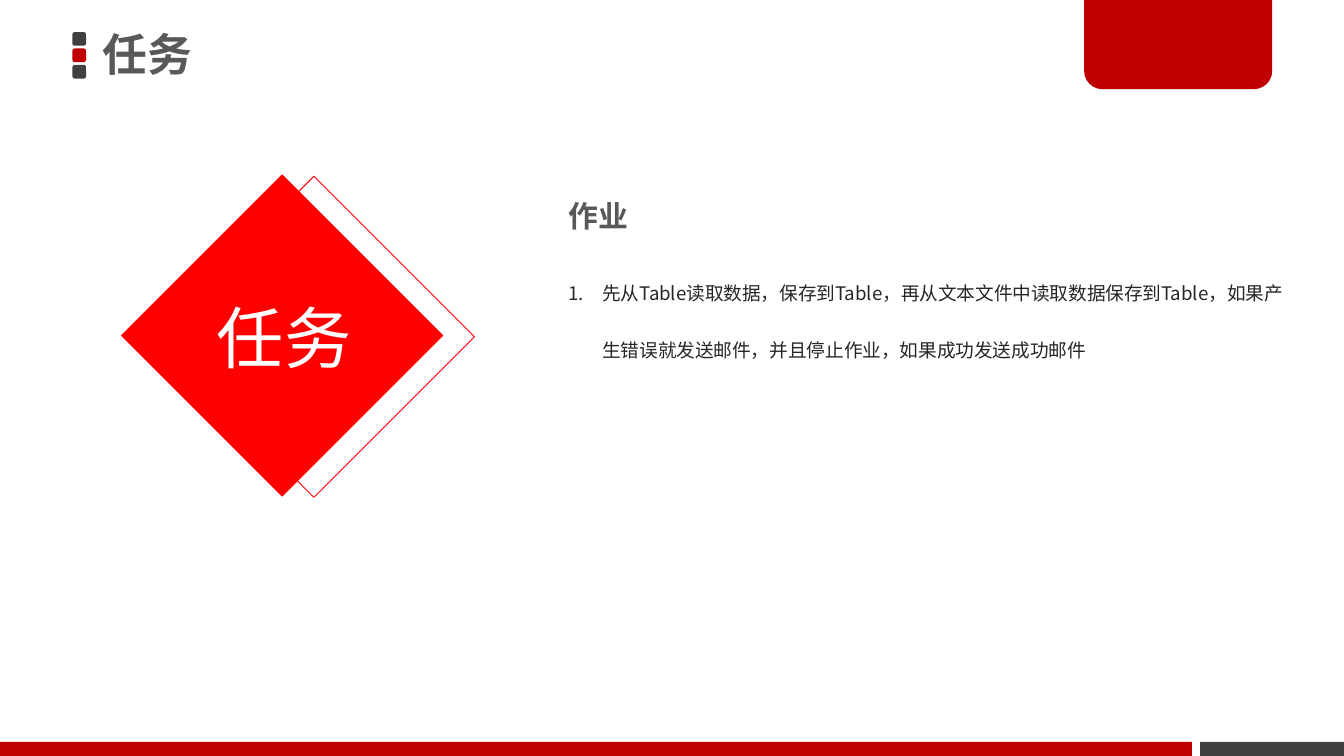
from lxml import etree
from pptx import Presentation
from pptx.dml.color import RGBColor
from pptx.enum.shapes import MSO_SHAPE
from pptx.enum.text import MSO_ANCHOR, MSO_AUTO_SIZE, PP_ALIGN
from pptx.oxml.ns import qn
from pptx.util import Pt

RECT = MSO_SHAPE.RECTANGLE
ROUND = MSO_SHAPE.ROUNDED_RECTANGLE
TAB = MSO_SHAPE.ROUND_2_SAME_RECTANGLE
TOP, MIDDLE = MSO_ANCHOR.TOP, MSO_ANCHOR.MIDDLE
LEFT, CENTER = PP_ALIGN.LEFT, PP_ALIGN.CENTER
FIXED, GROW = MSO_AUTO_SIZE.NONE, MSO_AUTO_SIZE.SHAPE_TO_FIT_TEXT

WHITE = RGBColor(0xFF, 0xFF, 0xFF)
RED = RGBColor(0xFF, 0x00, 0x00)
CRIMSON = RGBColor(0xC0, 0x00, 0x00)
DARK = RGBColor(0x40, 0x40, 0x40)
GRAY = RGBColor(0x59, 0x59, 0x59)
INK = RGBColor(0x26, 0x26, 0x26)


class Deck:
    face = "Noto Sans CJK SC"

    def __init__(self, slide):
        self.slide = slide

    def place(self, item, box):
        item.left, item.top, item.width, item.height = map(Pt, box)

    def shape(self, kind, box, fill=None, line=None, turn=0, rounds=()):
        item = self.slide.shapes.add_shape(kind, *map(Pt, box))
        item.shadow.inherit = False
        item.rotation = turn
        for i, value in enumerate(rounds):
            item.adjustments[i] = value
        if fill is None:
            item.fill.background()
        else:
            item.fill.solid()
            item.fill.fore_color.rgb = fill
        if line is None:
            item.line.fill.background()
        else:
            item.line.color.rgb = line
            item.line.width = Pt(0.5)

    def text(self, box, words, size, color, bold=False, align=LEFT,
             anchor=TOP, fit=FIXED, space=1.0, inset=(7.2, 3.6), item=None):
        if item is None:
            item = self.slide.shapes.add_textbox(*map(Pt, box))
        else:
            self.place(item, box)
        frame = item.text_frame
        frame.word_wrap = True
        frame.auto_size = fit
        frame.vertical_anchor = anchor
        frame.margin_left = frame.margin_right = Pt(inset[0])
        frame.margin_top = frame.margin_bottom = Pt(inset[1])
        para = frame.paragraphs[0]
        para.text = words
        para.alignment = align
        para.line_spacing = space
        para.space_before = Pt(0)
        font = para.font
        font.name, font.size, font.bold = self.face, Pt(size), bold
        font.color.rgb = color
        # East Asian typeface
        latin = para._p.pPr.find(qn("a:defRPr")).find(qn("a:latin"))
        east = etree.Element(qn("a:ea"), typeface=self.face)
        latin.addnext(east)
        return para

    def number(self, para, indent):
        props = para._p.pPr
        props.set("marL", str(Pt(indent)))
        props.set("indent", str(-Pt(indent)))
        mark = etree.Element(qn("a:buAutoNum"), type="arabicPeriod")
        props.find(qn("a:defRPr")).addprevious(mark)


def main():
    show = Presentation()
    show.slide_width, show.slide_height = Pt(720), Pt(405)
    slide = show.slides.add_slide(show.slide_layouts[1])
    title, body = slide.placeholders
    deck = Deck(slide)

    # Header marks and corner tab
    for i, color in enumerate((DARK, CRIMSON, DARK)):
        deck.shape(ROUND, (38.8, 17.2 + 8.8 * i, 7.3, 7.3), color,
                   rounds=(0.167,))
    deck.shape(TAB, (580.8, -1.4, 100.8, 49.2), CRIMSON, rounds=(0, 0.2))

    # Footer bars
    deck.shape(RECT, (643, 397.5, 77, 7.5), DARK)
    deck.shape(RECT, (0, 397.5, 638.6, 7.5), CRIMSON)

    # Twin diamonds with label
    deck.shape(RECT, (107.3, 119.6, 121.7, 121.7), line=RED, turn=45)
    deck.shape(RECT, (90.3, 118.9, 121.7, 121.7), RED, RED, 45)
    deck.text((1.4, 151.2, 301.7, 64), "任务", 36, WHITE, align=CENTER,
              anchor=MIDDLE, space=0.9, inset=(5.8, 2.9))

    # Title, heading and numbered list
    deck.text((49.2, -1.4, 310.3, 64), "任务", 24, GRAY, True,
              anchor=MIDDLE, space=0.9, inset=(5.8, 2.9), item=title)
    deck.text((297.4, 102.2, 277.9, 26.6), "作业", 16, GRAY, True, fit=GROW)
    task = deck.text(
        (297.4, 129.6, 402.5, 67.7),
        "先从Table读取数据，保存到Table，再从文本文件中读取数据保存到Table，"
        "如果产生错误就发送邮件，并且停止作业，如果成功发送成功邮件",
        10, INK, fit=GROW, space=2.5, item=body)
    deck.number(task, 18)

    show.save("out.pptx")


if __name__ == "__main__":
    main()
